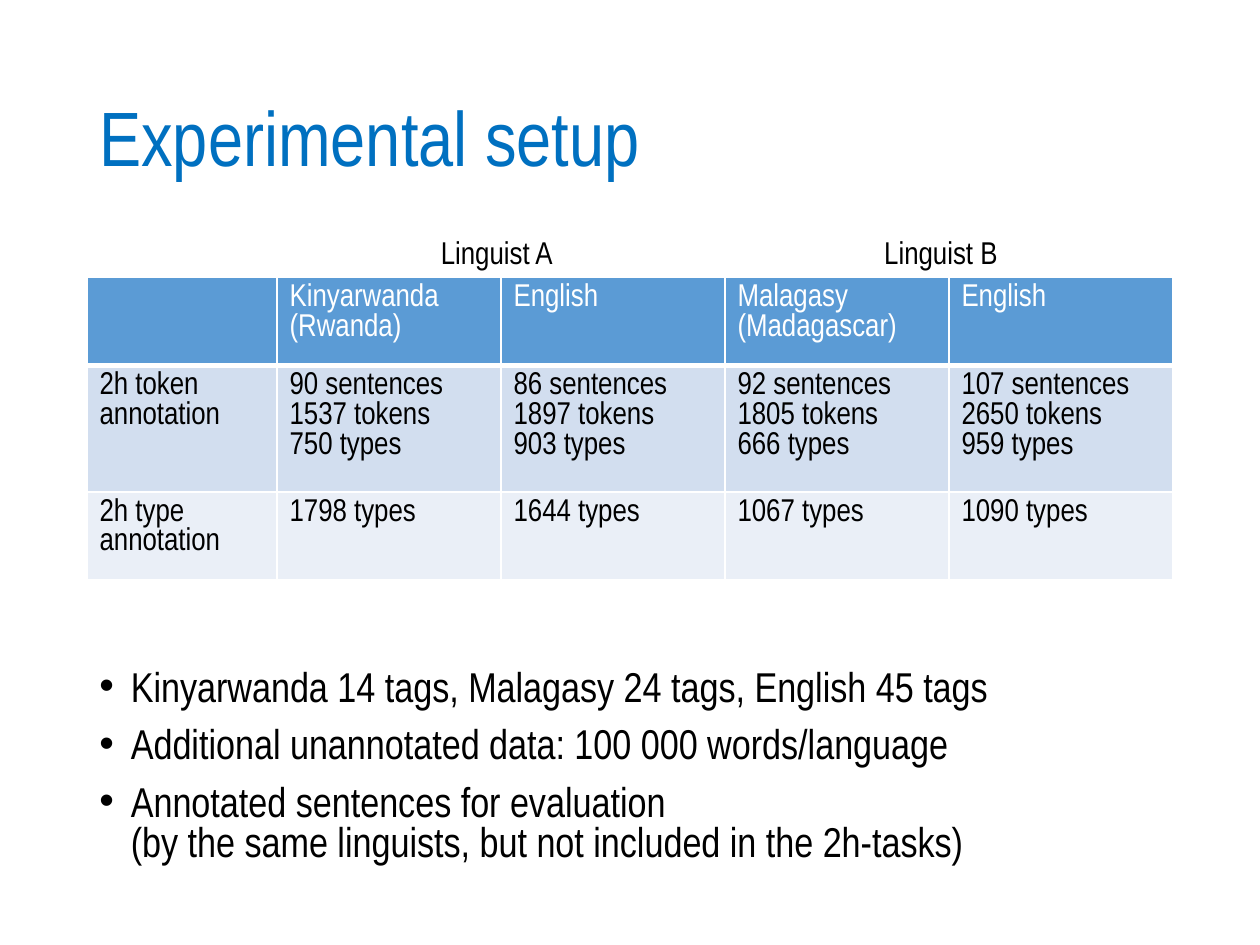
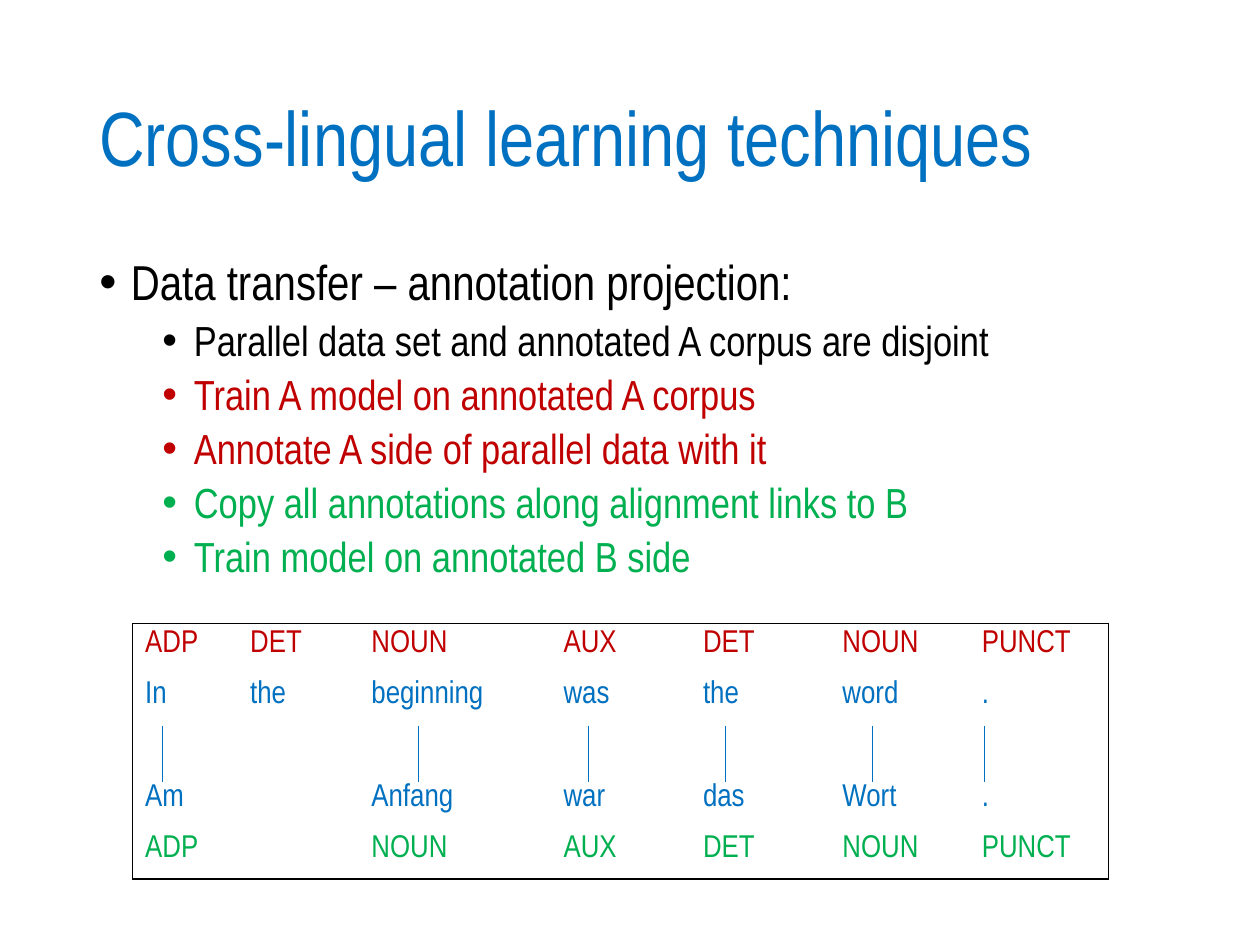
from lxml import etree
from pptx import Presentation
from pptx.dml.color import RGBColor
from pptx.enum.shapes import MSO_CONNECTOR
from pptx.enum.text import MSO_ANCHOR
from pptx.oxml.ns import qn
from pptx.util import Pt

STRAIGHT = MSO_CONNECTOR.STRAIGHT
TOP, MIDDLE = MSO_ANCHOR.TOP, MSO_ANCHOR.MIDDLE

FONT = "Arial Narrow"
COLORS = {
    "blue": "0070C0", "black": "000000", "white": "FFFFFF",
    "source": "C00000", "target": "00B050",
    "header": "5B9BD5", "band_dark": "D2DEEF", "band_light": "EAEFF7",
}
LEFT, WIDTH = 49.7, 620.6
INDENT = 18

# Experimental setup
SETUP_TITLE = "Experimental setup"
LINGUISTS = [("Linguist A", 244.8), ("Linguist B", 498.2)]
SETUP_ROWS = [
    ["", "Kinyarwanda\n(Rwanda)", "English", "Malagasy\n(Madagascar)", "English"],
    ["2h token annotation", "90 sentences\n1537 tokens\n750 types",
     "86 sentences\n1897 tokens\n903 types",
     "92 sentences\n1805 tokens\n666 types",
     "107 sentences\n2650 tokens\n959 types"],
    ["2h type annotation", "1798 types", "1644 types", "1067 types", "1090 types"],
]
SETUP_STYLES = [("header", "white"), ("band_dark", "black"), ("band_light", "black")]
SETUP_COLUMNS = [108.6] + [128] * 4
SETUP_HEIGHTS = [40, 56.5, 40]
SETUP_NOTES = [
    "Kinyarwanda 14 tags, Malagasy 24 tags, English 45 tags",
    "Additional unannotated data: 100 000 words/language",
    "Annotated sentences for evaluation\v"
    "(by the same linguists, but not included in the 2h-tasks)",
]

# Cross-lingual learning techniques
TRANSFER_TITLE = "Cross-lingual learning techniques"
TRANSFER_HEADING = "Data transfer – annotation projection:"
TRANSFER_STEPS = [
    ("Parallel data set and annotated A corpus are disjoint", "black"),
    ("Train A model on annotated A corpus", "source"),
    ("Annotate A side of parallel data with it", "source"),
    ("Copy all annotations along alignment links to B", "target"),
    ("Train model on annotated B side", "target"),
]
ALIGNMENT_ROWS = [
    (["ADP", "DET", "NOUN", "AUX", "DET", "NOUN", "PUNCT"], "source"),
    (["In", "the", "beginning", "was", "the", "word", "."], "blue"),
    ([""] * 7, "blue"),
    (["Am", "", "Anfang", "war", "das", "Wort", "."], "blue"),
    (["ADP", "", "NOUN", "AUX", "DET", "NOUN", "PUNCT"], "target"),
]
ALIGNMENT_COLUMNS = [60, 69.3, 109.8] + [79.7] * 4
ALIGNMENT_LEFT, ALIGNMENT_TOP, ALIGNMENT_HEIGHT = 75.8, 356.4, 29.2
LINK_XS = [92.9, 239, 336.2, 414.7, 498.8, 562.4]
LINK_TOP, LINK_BOTTOM = 415, 446.6


def rgb(name):
    return RGBColor.from_string(COLORS[name])


def style(paragraph, size, color, spacing=None, before=0):
    paragraph.line_spacing = spacing
    paragraph.space_before = Pt(before)
    font = paragraph.font
    font.name, font.size, font.bold = FONT, Pt(size), False
    font.color.rgb = rgb(color)


def add_box(slide, left, top, width, height, wrap=True, anchor=TOP):
    frame = slide.shapes.add_textbox(Pt(left), Pt(top), Pt(width), Pt(height)).text_frame
    frame.word_wrap = wrap
    frame.vertical_anchor = anchor
    return frame


def add_title(slide, title):
    paragraph = add_box(slide, LEFT, 28.8, WIDTH, 104.4, anchor=MIDDLE).paragraphs[0]
    paragraph.text = title
    style(paragraph, 44, "blue", 0.9)


def add_bullets(slide, top, height, items, spacing):
    """Items are (text, level, size, colour, space before)."""
    frame = add_box(slide, LEFT, top, WIDTH, height)
    for number, (text, level, size, color, before) in enumerate(items):
        paragraph = frame.add_paragraph() if number else frame.paragraphs[0]
        paragraph.text = text
        paragraph.level = level
        properties = paragraph._p.get_or_add_pPr()
        properties.set("marL", str(Pt(INDENT * (1 + 2 * level))))
        properties.set("indent", str(-Pt(INDENT)))
        etree.SubElement(properties, qn("a:buFont")).set("typeface", "Arial")
        etree.SubElement(properties, qn("a:buChar")).set("char", "•")
        style(paragraph, size, color, spacing, before if number else 0)


def add_table(slide, left, top, columns, heights):
    table = slide.shapes.add_table(len(heights), len(columns), Pt(left), Pt(top),
                                   Pt(sum(columns)), Pt(sum(heights))).table
    table.first_row = table.horz_banding = False
    for column, width in zip(table.columns, columns):
        column.width = Pt(width)
    for row, height in zip(table.rows, heights):
        row.height = Pt(height)
    return table


def fill_cell(cell, text, color, borders, fill=None):
    """Borders map a side (L, R, T, B) to (colour, width); other sides get no line."""
    cell.text = text
    for paragraph in cell.text_frame.paragraphs:
        style(paragraph, 18, color)
    properties = cell._tc.get_or_add_tcPr()
    for side in "LRTB":
        line = etree.SubElement(properties, qn("a:ln" + side))
        if side in borders:
            line_color, width = borders[side]
            line.set("w", str(Pt(width)))
            solid = etree.SubElement(line, qn("a:solidFill"))
            etree.SubElement(solid, qn("a:srgbClr")).set("val", COLORS[line_color])
        else:
            line.set("w", "0")
            etree.SubElement(line, qn("a:noFill"))
    if fill:
        cell.fill.solid()
        cell.fill.fore_color.rgb = rgb(fill)
    else:
        cell.fill.background()


def build_setup(slide):
    add_title(slide, SETUP_TITLE)
    add_bullets(slide, 379.6, 126,
                [(note, 0, 23.8, "black", 10) for note in SETUP_NOTES], 0.8)
    table = add_table(slide, LEFT, 158.6, SETUP_COLUMNS, SETUP_HEIGHTS)
    for r, (texts, (fill, color)) in enumerate(zip(SETUP_ROWS, SETUP_STYLES)):
        borders = dict.fromkeys("LRTB", ("white", 1))
        if r < 2:
            borders["B" if r == 0 else "T"] = ("white", 3)
        for c, text in enumerate(texts):
            fill_cell(table.cell(r, c), text, color, borders, fill)
    for linguist, left in LINGUISTS:
        paragraph = add_box(slide, left, 129.6, 94.7, 28.8, wrap=False).paragraphs[0]
        paragraph.text = linguist
        style(paragraph, 18, "black")


def build_transfer(slide):
    add_title(slide, TRANSFER_TITLE)
    steps = [(step, 1, 24, color, 5) for step, color in TRANSFER_STEPS]
    add_bullets(slide, 144, 342.7, [(TRANSFER_HEADING, 0, 28, "black", 0)] + steps, 0.9)

    table = add_table(slide, ALIGNMENT_LEFT, ALIGNMENT_TOP, ALIGNMENT_COLUMNS,
                      [ALIGNMENT_HEIGHT] * len(ALIGNMENT_ROWS))
    last_row, last_column = len(ALIGNMENT_ROWS) - 1, len(ALIGNMENT_COLUMNS) - 1
    for r, (words, color) in enumerate(ALIGNMENT_ROWS):
        for c, word in enumerate(words):
            on_edge = {"L": c == 0, "R": c == last_column, "T": r == 0, "B": r == last_row}
            frame = {side: ("black", 1) for side, outer in on_edge.items() if outer}
            fill_cell(table.cell(r, c), word, color, frame)

    for x in LINK_XS:
        link = slide.shapes.add_connector(STRAIGHT, Pt(x), Pt(LINK_TOP), Pt(x), Pt(LINK_BOTTOM))
        link.line.color.rgb = rgb("blue")
        link.line.width = Pt(0.5)
        etree.SubElement(link._element.spPr, qn("a:effectLst"))


def main():
    deck = Presentation()
    deck.slide_width, deck.slide_height = Pt(720), Pt(540)
    blank = deck.slide_layouts[6]
    for build in (build_setup, build_transfer):
        build(deck.slides.add_slide(blank))
    deck.save("out.pptx")


if __name__ == "__main__":
    main()
